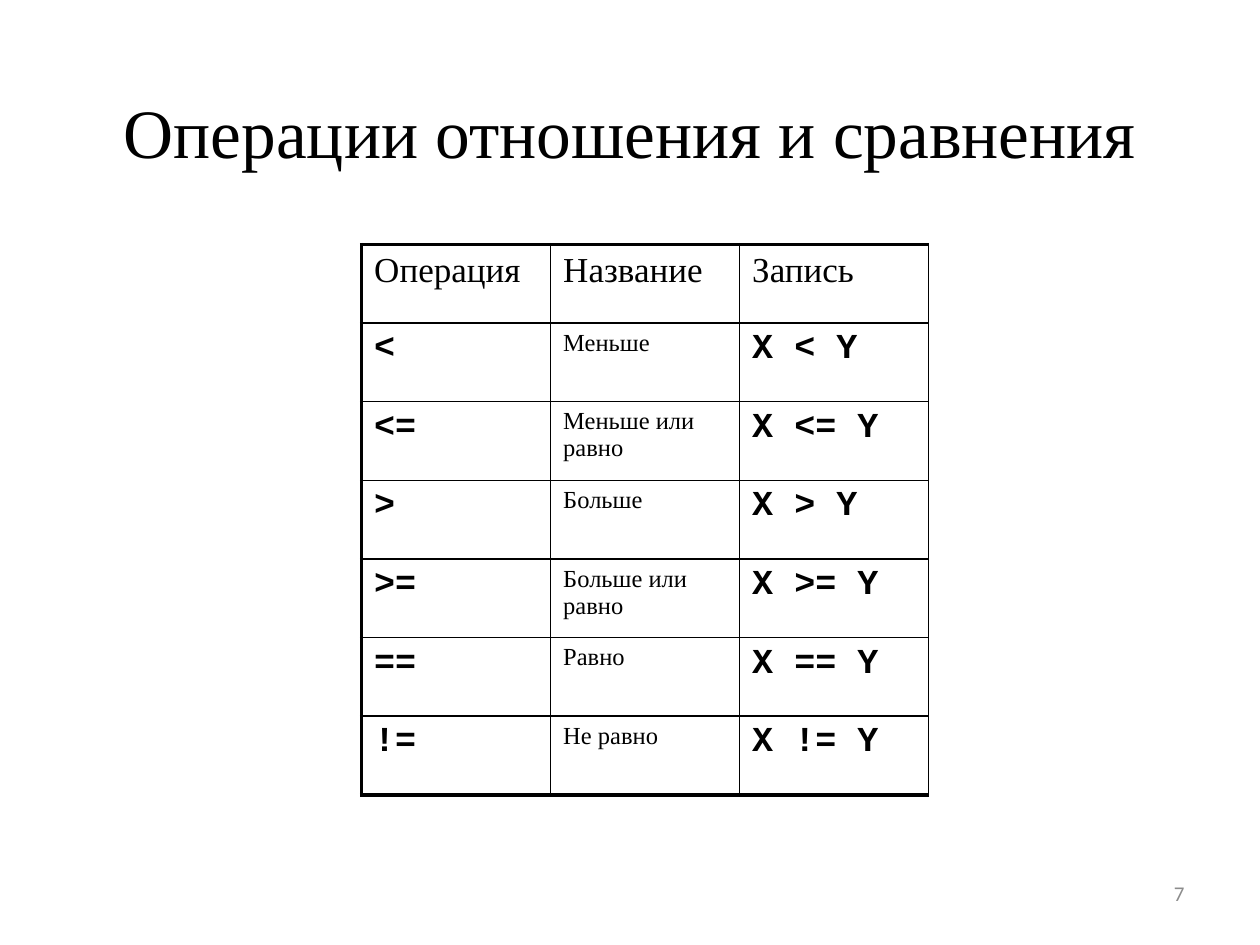
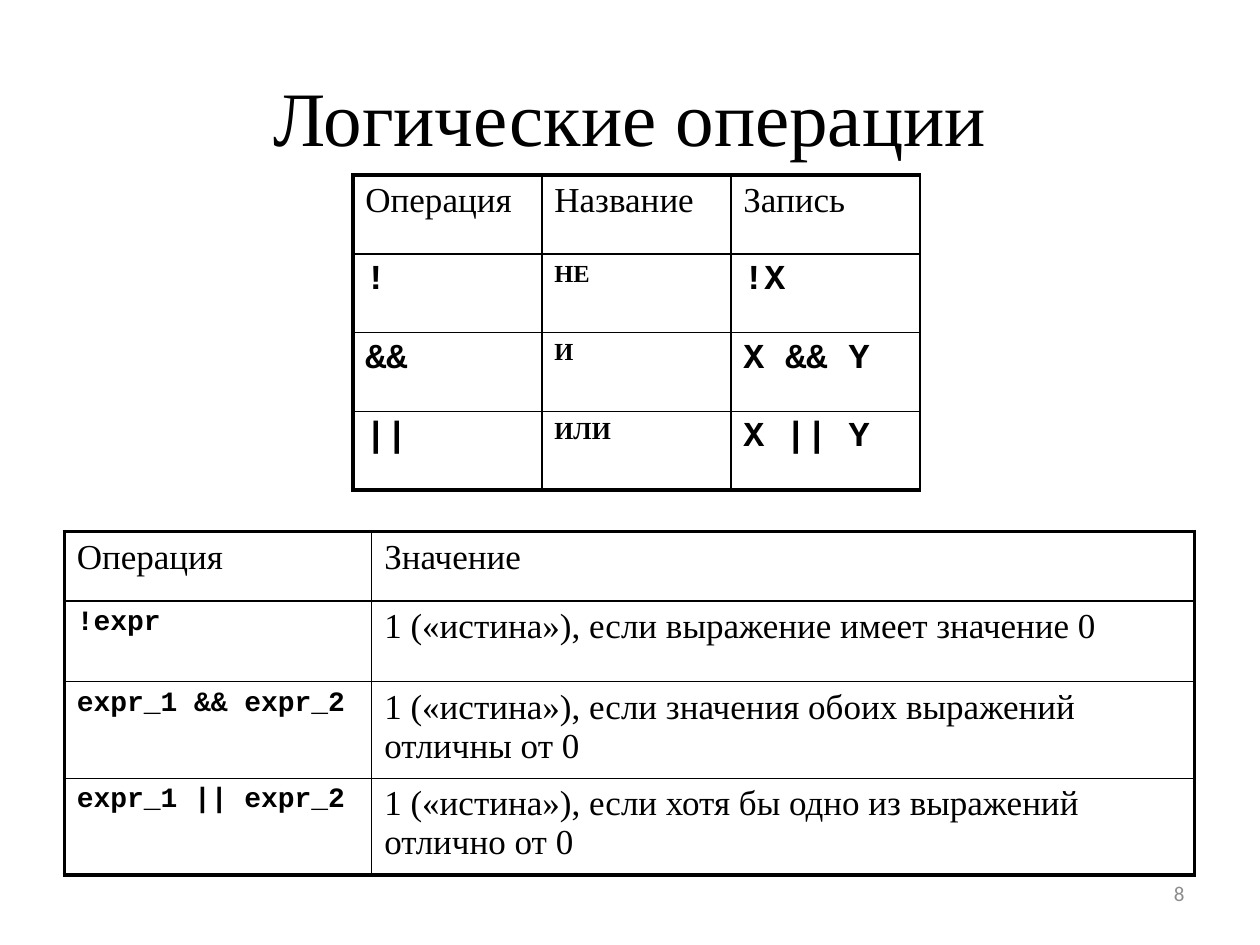
from lxml import etree
from pptx import Presentation
from pptx.dml.color import RGBColor
from pptx.enum.text import MSO_ANCHOR, PP_ALIGN
from pptx.oxml.ns import qn
from pptx.util import Inches, Pt

LEFT, CENTER, RIGHT = PP_ALIGN.LEFT, PP_ALIGN.CENTER, PP_ALIGN.RIGHT
MIDDLE = MSO_ANCHOR.MIDDLE

SERIF, MONO, SANS = "Times New Roman", "Courier New", "Calibri"
BLACK, GRAY = "000000", "8C8C8C"
THIN, THICK = 1, 2.25

# Text formats of the table columns
HEADER = {"size": 20}
CODE = {"size": 20, "font": MONO, "bold": True}
SMALL_CODE = {"size": 16, "font": MONO, "bold": True}
NAME = {"size": 14}
BOLD_NAME = {"size": 14, "bold": True}
MEANING = {"size": 20}

OPERATION_HEADERS = ("Операция", "Название", "Запись")
OPERATION_COLUMNS = (1.5, 1.5, 1.5)

COMPARISONS = (
    ("<", "Меньше", "X < Y"),
    ("<=", "Меньше или равно", "X <= Y"),
    (">", "Больше", "X > Y"),
    (">=", "Больше или равно", "X >= Y"),
    ("==", "Равно", "X == Y"),
    ("!=", "Не равно", "X != Y"),
)
LOGICAL = (
    ("!", "НЕ", "!X"),
    ("&&", "И", "X && Y"),
    ("||", "ИЛИ", "X || Y"),
)
MEANINGS = (
    ("!expr", "1 («истина»), если выражение имеет значение 0"),
    ("expr_1 && expr_2",
     "1 («истина»), если значения обоих выражений отличны от 0"),
    ("expr_1 || expr_2",
     "1 («истина»), если хотя бы одно из выражений отлично от 0"),
)


def color(value):
    """Turn a hex string into a colour."""
    return RGBColor.from_string(value)


def write_text(frame, text, size, font=SERIF, bold=False, fill=BLACK,
               align=LEFT):
    """Write one formatted paragraph into a text frame."""
    paragraph = frame.paragraphs[0]
    paragraph.alignment = align
    run = paragraph.add_run()
    run.text = text
    run.font.size = Pt(size)
    run.font.name = font
    run.font.bold = bold
    run.font.color.rgb = color(fill)


def add_text(slide, text, left, top, width, height, **text_format):
    """Add a wrapped, vertically centred text box."""
    box = slide.shapes.add_textbox(
        Inches(left), Inches(top), Inches(width), Inches(height))
    box.text_frame.word_wrap = True
    box.text_frame.vertical_anchor = MIDDLE
    write_text(box.text_frame, text, **text_format)


def add_slide(presentation, title, number, title_height, title_size):
    """Add a blank slide with its title and page number."""
    slide = presentation.slides.add_slide(presentation.slide_layouts[6])
    add_text(slide, str(number), 7.17, 6.83, 2.33, 0.52,
             size=12, font=SANS, fill=GRAY, align=RIGHT)
    add_text(slide, title, 0.5, 0.3, 9, title_height,
             size=title_size, align=CENTER)
    return slide


def set_borders(cell, widths):
    """Draw black cell borders, widths in points: left, right, top, bottom."""
    properties = cell._tc.get_or_add_tcPr()
    for index, (side, width) in enumerate(zip("LRTB", widths)):
        line = etree.Element(qn(f"a:ln{side}"), w=str(Pt(width)))
        fill = etree.SubElement(line, qn("a:solidFill"))
        etree.SubElement(fill, qn("a:srgbClr"), val=BLACK)
        properties.insert(index, line)


def add_table(slide, left, top, columns, heights, headers, body, formats,
              right_border=THIN):
    """Add a ruled table; formats holds the body text format per column."""
    rows = (headers,) + body
    table = slide.shapes.add_table(
        len(rows), len(columns), Inches(left), Inches(top),
        Inches(sum(columns)), Inches(sum(heights))).table
    table.first_row = table.horz_banding = False
    for column, width in zip(table.columns, columns):
        column.width = Inches(width)
    for row, height in zip(table.rows, heights):
        row.height = Inches(height)
    last_row, last_column = len(rows) - 1, len(columns) - 1
    for y, row in enumerate(rows):
        for x, text in enumerate(row):
            cell = table.cell(y, x)
            cell.fill.background()
            write_text(cell.text_frame, text, **(formats[x] if y else HEADER))
            set_borders(cell, (
                THICK if x == 0 else THIN,
                right_border if x == last_column else THIN,
                THICK if y == 0 else THIN,
                THICK if y == last_row else THIN))


def add_operation_table(slide, left, top, height, body, name_format):
    """Add a three-column table of operations with equal rows."""
    count = len(body) + 1
    add_table(slide, left, top, OPERATION_COLUMNS, [height / count] * count,
              OPERATION_HEADERS, body, (CODE, name_format, CODE))


def main():
    """Build both slides and save the presentation."""
    presentation = Presentation()
    presentation.slide_width = Inches(10)
    presentation.slide_height = Inches(7.5)

    slide = add_slide(presentation, "Операции отношения и сравнения", 7,
                      title_height=1.48, title_size=39.6)
    add_operation_table(slide, 2.87, 1.94, 4.37, COMPARISONS, NAME)

    slide = add_slide(presentation, "Логические операции", 8,
                      title_height=1.24, title_size=44)
    add_operation_table(slide, 2.8, 1.39, 2.5, LOGICAL, BOLD_NAME)
    add_table(slide, 0.51, 4.22, (2.44, 6.53), (0.55, 0.64, 0.71, 0.71),
              ("Операция", "Значение"), MEANINGS, (SMALL_CODE, MEANING),
              right_border=THICK)

    presentation.save("out.pptx")


main()
